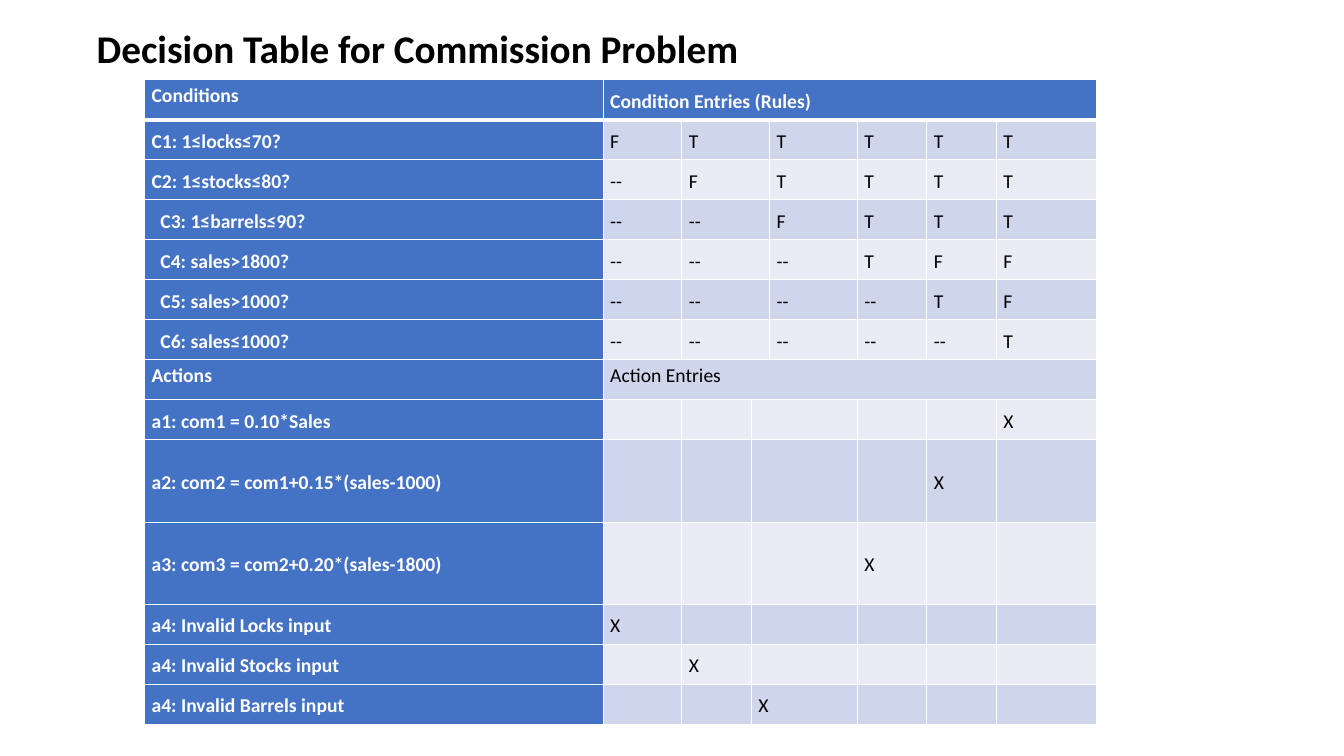
"""Build the decision table slide for the commission problem."""
from dataclasses import dataclass

from lxml.etree import SubElement
from pptx import Presentation
from pptx.dml.color import RGBColor
from pptx.enum.text import MSO_ANCHOR, PP_ALIGN
from pptx.oxml.ns import qn
from pptx.slide import Slide
from pptx.table import Table, _Cell
from pptx.util import Pt

BLACK = RGBColor(0x00, 0x00, 0x00)
WHITE = RGBColor(0xFF, 0xFF, 0xFF)
BLUE = RGBColor(0x44, 0x72, 0xC4)
DARK_BAND = RGBColor(0xCF, 0xD5, 0xEA)
LIGHT_BAND = RGBColor(0xE9, 0xEB, 0xF5)

FONT = "Calibri"
COLUMN_WIDTHS = (327.6, 56.2, 49.7, 13, 62.6, 49.7, 49.7, 71.9)
ROW_HEIGHT = 28.6
TALL_ROW_HEIGHT = 58.8
MARGIN = 5
INDENT = 6.3

HEADING_SPANS = ((1, 7),)
CONDITION_SPANS = ((1, 1), (2, 3), (4, 4), (5, 5), (6, 6), (7, 7))
ACTION_SPANS = ((1, 1), (2, 2), (3, 4), (5, 5), (6, 6), (7, 7))


@dataclass(frozen=True)
class Row:
    """One table row: its label, its entries and the columns they cover."""

    label: str
    entries: tuple[str, ...]
    spans: tuple[tuple[int, int], ...]
    height: float = ROW_HEIGHT
    indent: float = 0
    label_anchor: MSO_ANCHOR = MSO_ANCHOR.MIDDLE
    entry_anchor: MSO_ANCHOR = MSO_ANCHOR.MIDDLE


def condition(label: str, entries: str, indent: float = 0) -> Row:
    """Describe a condition row from its space-separated entries."""
    return Row(label, tuple(entries.split()), CONDITION_SPANS, indent=indent)


def action(label: str, rule: int, height: float = ROW_HEIGHT) -> Row:
    """Describe an action row with a cross under the given rule."""
    entries = tuple("X" if number == rule else "" for number in range(1, 7))
    return Row(label, entries, ACTION_SPANS, height)


ROWS = (
    Row("Conditions", ("Condition Entries (Rules)",), HEADING_SPANS,
        label_anchor=MSO_ANCHOR.TOP),
    condition("C1: 1≤locks≤70?", "F T T T T T"),
    condition("C2: 1≤stocks≤80?", "-- F T T T T"),
    condition("C3: 1≤barrels≤90?", "-- -- F T T T", INDENT),
    condition("C4: sales>1800?", "-- -- -- T F F", INDENT),
    condition("C5: sales>1000?", "-- -- -- -- T F", INDENT),
    condition("C6: sales≤1000?", "-- -- -- -- -- T", INDENT),
    Row("Actions", ("Action Entries",), HEADING_SPANS,
        label_anchor=MSO_ANCHOR.TOP, entry_anchor=MSO_ANCHOR.TOP),
    action("a1: com1 = 0.10*Sales", 6),
    action("a2: com2 = com1+0.15*(sales-1000)", 5, TALL_ROW_HEIGHT),
    action("a3: com3 = com2+0.20*(sales-1800)", 4, TALL_ROW_HEIGHT),
    action("a4: Invalid Locks input", 1),
    action("a4: Invalid Stocks input", 2),
    action("a4: Invalid Barrels input", 3),
)


def add_title(page: Slide, text: str) -> None:
    """Add the slide title."""
    box = page.shapes.add_textbox(Pt(62), Pt(15.8), Pt(821), Pt(41))
    frame = box.text_frame
    frame.word_wrap = True
    frame.vertical_anchor = MSO_ANCHOR.MIDDLE
    frame.text = text
    para = frame.paragraphs[0]
    para.line_spacing = 0.9
    span = para.runs[0]
    span.font.name = FONT
    span.font.size = Pt(28)
    span.font.bold = True
    span.font.color.rgb = BLACK


def style_cell(cell: _Cell, row_index: int, is_blue: bool) -> None:
    """Give a cell its fill, margins and white borders."""
    cell.margin_left = cell.margin_right = Pt(MARGIN)
    cell.margin_top = cell.margin_bottom = Pt(0)
    properties = cell._tc.get_or_add_tcPr()
    widths = {"L": 1, "R": 1, "T": 3 if row_index == 1 else 1,
              "B": 3 if row_index == 0 else 1}
    for side, width in widths.items():
        line = SubElement(properties, qn(f"a:ln{side}"), w=str(Pt(width)))
        fill = SubElement(line, qn("a:solidFill"))
        SubElement(fill, qn("a:srgbClr"), val=str(WHITE))
    cell.fill.solid()
    band = DARK_BAND if row_index % 2 else LIGHT_BAND
    cell.fill.fore_color.rgb = BLUE if is_blue else band


def write_cell(cell: _Cell, text: str, anchor: MSO_ANCHOR,
               alignment: PP_ALIGN, is_blue: bool) -> None:
    """Write text in a cell, bold white on blue and black elsewhere."""
    cell.vertical_anchor = anchor
    para = cell.text_frame.paragraphs[0]
    para.text = text
    para.alignment = alignment
    para.line_spacing = 1.15
    para.font.size = Pt(14)
    for span in para.runs:
        span.font.name = FONT
        span.font.size = Pt(14)
        span.font.bold = is_blue
        span.font.color.rgb = WHITE if is_blue else BLACK


def fill_row(table: Table, index: int, row: Row) -> None:
    """Style, merge and fill one row of the table."""
    is_header = index == 0
    alignment = PP_ALIGN.LEFT if is_header else PP_ALIGN.JUSTIFY
    table.rows[index].height = Pt(row.height)
    for column in range(len(COLUMN_WIDTHS)):
        style_cell(table.cell(index, column), index, is_header or column == 0)
    label_cell = table.cell(index, 0)
    label_cell.margin_left = Pt(MARGIN + row.indent)
    write_cell(label_cell, row.label, row.label_anchor, alignment, True)
    for (first, last), entry in zip(row.spans, row.entries):
        cell = table.cell(index, first)
        if last > first:
            cell.merge(table.cell(index, last))
        if entry:
            write_cell(cell, entry, row.entry_anchor, alignment, is_header)


def add_decision_table(page: Slide) -> None:
    """Add the table of conditions and actions."""
    frame = page.shapes.add_table(
        len(ROWS), len(COLUMN_WIDTHS), Pt(103.3), Pt(57),
        Pt(sum(COLUMN_WIDTHS)), Pt(sum(row.height for row in ROWS)))
    table = frame.table
    table.horz_banding = False
    table.first_row = False
    for column, width in zip(table.columns, COLUMN_WIDTHS):
        column.width = Pt(width)
    for index, row in enumerate(ROWS):
        fill_row(table, index, row)


def main() -> None:
    """Create and save the deck."""
    deck = Presentation()
    deck.slide_width = Pt(960)
    deck.slide_height = Pt(540)
    page = deck.slides.add_slide(deck.slide_layouts[6])
    add_title(page, "Decision Table for Commission Problem")
    add_decision_table(page)
    deck.save("out.pptx")


if __name__ == "__main__":
    main()
